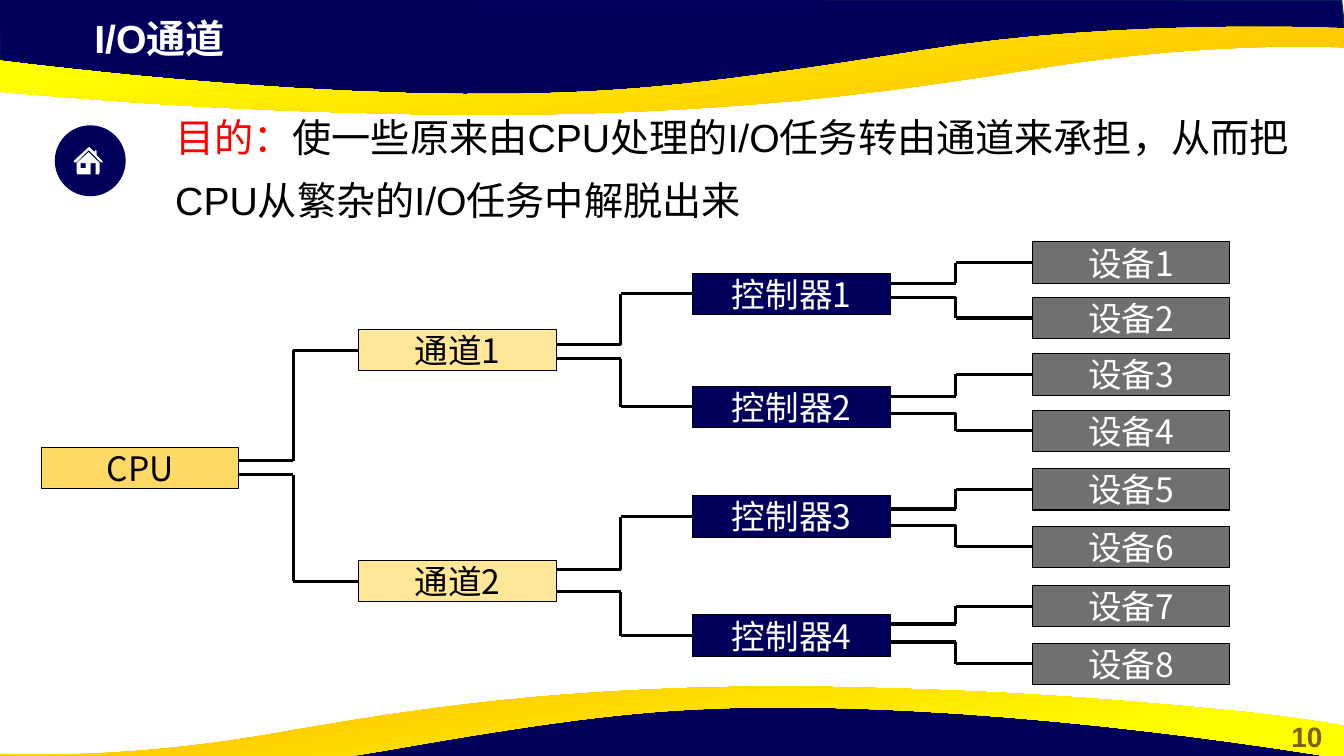
from lxml.etree import SubElement
from pptx import Presentation
from pptx.dml.color import RGBColor
from pptx.enum.lang import MSO_LANGUAGE_ID
from pptx.enum.shapes import MSO_CONNECTOR, MSO_SHAPE
from pptx.enum.text import MSO_ANCHOR, PP_ALIGN
from pptx.oxml.ns import qn
from pptx.util import Pt

COLORS = {
    "navy": "00005C", "navy line": "05304F", "orange": "FFC000", "yellow": "FFFF00",
    "gold": "FFD966", "cream": "FFE699", "gray": "707070", "olive": "806000",
    "red": "FF0000", "black": "000000", "white": "FFFFFF",
}
CJK_FONT = "Noto Sans CJK SC"
TITLE = "I/O通道"
PURPOSE = [
    ("目的：", "red"),
    ("使一些原来由CPU处理的I/O任务转由通道来承担，从而把CPU从繁杂的I/O任务中解脱出来", "black"),
]
PAGE_NUMBER = "10"

BOX_WIDTH, BOX_HEIGHT = 141.1, 29.5
LEVELS = [
    {"left": 29.5, "fill": "gold", "text": "black", "elbow": 209.5,
     "boxes": [("CPU", 319.7, (329, 339.1))]},
    {"left": 256.3, "fill": "cream", "text": "black", "elbow": 443.5,
     "boxes": [("通道1", 235.4, (246.2, 256.3)), ("通道2", 400.3, (406.8, 422.6))]},
    {"left": 494.9, "fill": "navy", "text": "white", "elbow": 682.6,
     "boxes": [("控制器1", 195.1, (202.3, 212.4)), ("控制器2", 275.8, (283, 295.2)),
               ("控制器3", 354.2, (363.6, 375.1)), ("控制器4", 439.2, (445.7, 458.6))]},
    {"left": 737.3, "fill": "gray", "text": "white", "elbow": None,
     "boxes": [(f"设备{number}", top, ()) for number, top in enumerate(
         (172.8, 212.4, 252.7, 293, 334.8, 375.8, 418.3, 459.4), 1)]},
]

NAVY_BAND = [(-0.7, -0.7), (0, 50.4), (211, 73.4), (402.5, 72), (572.4, 63.4),
             (731.5, 36), (891.4, 23.8), (961.2, 27.4), (958.3, 0)]
RIBBON = [
    [(347.8, 82.1)],
    [(318.9, 82.1), (288.7, 81.4), (256.3, 80.6)],
    [(148.3, 77.8), (79.2, 72), (25.9, 67.7)],
    [(-63.4, 60.5), (-93.6, 54), (-95.8, 54)],
    [(-95.8, 30.2)],
    [(-95.8, 30.2), (157, 70.6), (372.2, 67)],
    [(450.7, 65.5), (509.8, 59.8), (658.8, 36)],
    [(799.2, 13), (959.8, 20.2), (959.8, 20.2)],
    [(959.8, 33.8)],
    [(957.6, 33.8)],
    [(939.6, 33.1), (860.4, 31), (759.6, 46.1)],
    [(661, 61.2), (548.6, 81.4), (347.8, 82.1)],
]
HOUSE = [
    [(63.4, 105.1), (52.7, 115), (53.3, 116.2), (54.7, 115.9), (63.4, 107.3),
     (72, 115.9), (73.1, 116.1), (73.4, 115.2), (69.1, 110.9), (69.1, 108),
     (68.4, 107.3), (67.7, 108), (67.7, 108.9), (64, 105.1)],
    [(63.4, 108.7), (71.3, 116.6), (71.3, 123.1), (70.6, 124.6), (68.4, 124.6),
     (68.4, 116.6), (64.8, 116.6), (64.8, 124.6), (55.4, 124.6), (54.7, 123.1),
     (54.7, 116.6)],
    [(61.2, 116.6), (57.6, 116.6), (57.6, 120.2), (61.2, 120.2)],
]
CURVE_STEPS = 16


def color(name):
    return RGBColor.from_string(COLORS[name])


def paint(shape, fill=None, line=None, width=1):
    shape.shadow.inherit = False
    if fill:
        shape.fill.solid()
        shape.fill.fore_color.rgb = color(fill)
    if line:
        shape.line.color.rgb = color(line)
        shape.line.width = Pt(width)
    else:
        shape.line.fill.background()


def style(paragraph, size, name, ink=None, bold=False):
    font = paragraph.font
    font.size, font.bold = Pt(size), bold
    font.language_id = MSO_LANGUAGE_ID.SIMPLIFIED_CHINESE
    if ink:
        font.color.rgb = color(ink)
    font.name = name
    SubElement(font._element, qn("a:ea"), typeface=CJK_FONT)


def add_text(slide, box, text, size, ink, align):
    frame = slide.shapes.add_textbox(*map(Pt, box)).text_frame
    frame.word_wrap = True
    paragraph = frame.paragraphs[0]
    paragraph.text, paragraph.alignment = text, align
    style(paragraph, size, "Arial", ink, True)


def add_outline(slide, contours):
    scaled = [[(Pt(x), Pt(y)) for x, y in contour] for contour in contours]
    builder = slide.shapes.build_freeform(*scaled[0][0])
    for index, contour in enumerate(scaled):
        if index:
            builder.move_to(*contour[0])
        builder.add_line_segments(contour[1:], close=True)
    return builder.convert_to_shape()


def flatten(segments):
    points = list(segments[0])
    for segment in segments[1:]:
        if len(segment) == 1:
            points += segment
            continue
        controls = [points[-1], *segment]
        for step in range(1, CURVE_STEPS + 1):
            t = step / CURVE_STEPS
            weights = ((1 - t) ** 3, 3 * t * (1 - t) ** 2, 3 * t * t * (1 - t), t ** 3)
            points.append(tuple(sum(w * point[axis] for w, point in zip(weights, controls))
                                for axis in (0, 1)))
    return points


def add_waves(slide):
    ribbon = flatten(RIBBON)
    bottom_band = [(959 - x, 571 - y) for x, y in NAVY_BAND]
    bottom_ribbon = [(959.8 - (x + 95.8) * 0.91, 572.4 - y) for x, y in ribbon]
    for band, wave, angle in ((NAVY_BAND, ribbon, 100), (bottom_band, bottom_ribbon, 280)):
        paint(add_outline(slide, [band]), "navy", "navy line")
        shape = add_outline(slide, [wave])
        paint(shape)
        shape.fill.gradient()
        shape.fill.gradient_angle = angle
        for stop, (position, name) in zip(shape.fill.gradient_stops,
                                          ((0.11, "orange"), (0.78, "yellow"))):
            stop.position = position
            stop.color.rgb = color(name)


def add_box(slide, level, label, top):
    shape = slide.shapes.add_shape(MSO_SHAPE.RECTANGLE, Pt(level["left"]), Pt(top),
                                   Pt(BOX_WIDTH), Pt(BOX_HEIGHT))
    paint(shape, level["fill"], "black", 0.75)
    frame = shape.text_frame
    frame.word_wrap, frame.vertical_anchor = False, MSO_ANCHOR.MIDDLE
    paragraph = frame.paragraphs[0]
    paragraph.text, paragraph.alignment = label, PP_ALIGN.CENTER
    style(paragraph, 24, CJK_FONT, level["text"])
    return shape


def add_line(slide, start, end):
    connector = slide.shapes.add_connector(MSO_CONNECTOR.STRAIGHT, *start, *end)
    connector.line.color.rgb = color("black")
    connector.line.width = Pt(2.25)
    SubElement(connector._element.spPr, qn("a:effectLst"))
    return connector


def add_tree(slide):
    rows = [[add_box(slide, level, label, top) for label, top, _ in level["boxes"]]
            for level in LEVELS]
    for level, parents, children in zip(LEVELS, rows, rows[1:]):
        elbow = Pt(level["elbow"])
        for index, (parent, (_, _, branches)) in enumerate(zip(parents, level["boxes"])):
            for branch, child in zip(branches, children[2 * index:2 * index + 2]):
                middle = child.top + child.height // 2
                add_line(slide, (parent.left + parent.width, Pt(branch)), (elbow, Pt(branch)))
                add_line(slide, (elbow, Pt(branch)), (elbow, middle))
                add_line(slide, (elbow, middle), (child.left, middle)).end_connect(child, 1)


def main():
    presentation = Presentation()
    presentation.slide_width, presentation.slide_height = Pt(960), Pt(540)
    slide = presentation.slides.add_slide(presentation.slide_layouts[6])
    add_waves(slide)
    add_text(slide, (907.2, 510.5, 52.6, 31.7), PAGE_NUMBER, 20, "olive", PP_ALIGN.CENTER)
    add_text(slide, (60.3, 6.5, 545, 41), TITLE, 28, "white", PP_ALIGN.LEFT)

    frame = slide.shapes.add_textbox(Pt(118.1), Pt(75.6), Pt(819.4), Pt(78.5)).text_frame
    frame.word_wrap, frame.vertical_anchor = True, MSO_ANCHOR.MIDDLE
    paragraph = frame.paragraphs[0]
    paragraph.line_spacing = 1.32
    for text, ink in PURPOSE:
        run = paragraph.add_run()
        run.text = text
        run.font.color.rgb = color(ink)
    style(paragraph, 28, "Arial")

    badge = slide.shapes.add_shape(MSO_SHAPE.OVAL, Pt(39.6), Pt(90), Pt(49.7), Pt(49.7))
    paint(badge, "navy", "navy")
    paint(add_outline(slide, HOUSE), "white")
    add_tree(slide)
    presentation.save("out.pptx")


if __name__ == "__main__":
    main()
